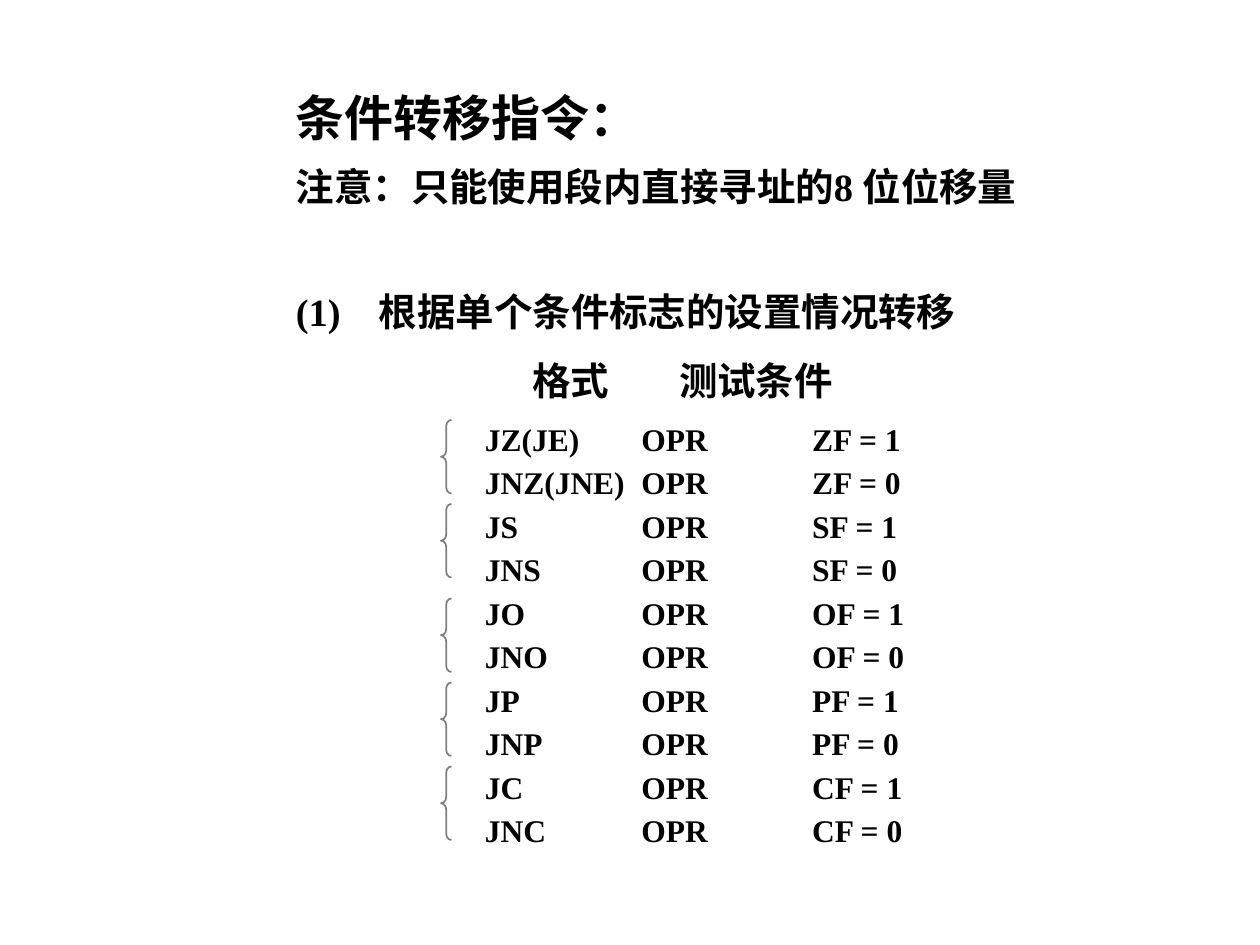
"""Build a slide that lists the conditional jumps on single flags."""
from dataclasses import dataclass

from lxml.etree import SubElement
from pptx import Presentation
from pptx.dml.color import RGBColor
from pptx.enum.shapes import MSO_SHAPE
from pptx.enum.text import MSO_ANCHOR, PP_ALIGN
from pptx.oxml.ns import qn
from pptx.util import Pt

BLACK = RGBColor(0x00, 0x00, 0x00)
GREY = RGBColor(0x80, 0x80, 0x80)
SERIF = "Times New Roman"
SANS = "Noto Sans CJK SC"
ROW_TABS = (108, 197.5, 295)
FLAGS = "ZSOPC"
BRACES = (240, 288, 342, 390, 438)


@dataclass(frozen=True)
class Line:
    """One line of text with its size, pitch and tab stops."""

    words: tuple[str, ...]
    size: float
    pitch: float
    tabs: tuple[float, ...] = ()
    before: float = 0
    align: PP_ALIGN = PP_ALIGN.LEFT


HEADS = [
    Line(("条件转移指令：",), 28, 50, align=PP_ALIGN.JUSTIFY),
    Line(("注意：只能使用段内直接寻址的", "8 ", "位位移量"), 22, 36,
         align=PP_ALIGN.JUSTIFY),
    Line(("(1)\t根据单个条件标志的设置情况转移",), 22, 39.5, (47.5,), 31.5),
    Line(("\t格式\t测试条件",), 22, 39.5, (135, 219)),
]


def get_rows() -> list[Line]:
    """Return a set and a clear jump for each flag."""
    alias = {"JZ": "JZ(JE)", "JNZ": "JNZ(JNE)"}
    rows = []
    for flag in FLAGS:
        for jump, value in ((f"J{flag}", 1), (f"JN{flag}", 0)):
            name = alias.get(jump, jump)
            pitch = 24.86 if rows else 31.3
            text = f"\t{name}\tOPR\t{flag}F = {value}"
            rows.append(Line((text,), 18, pitch, ROW_TABS))
    return rows


def add_line(para, line: Line) -> None:
    """Write one line into a paragraph."""
    para.alignment = line.align
    para.line_spacing = Pt(line.pitch)
    para.space_before = Pt(line.before)
    if line.tabs:
        stops = SubElement(para._p.get_or_add_pPr(), qn("a:tabLst"))
        for stop in line.tabs:
            SubElement(stops, qn("a:tab"), pos=str(int(Pt(stop))), algn="l")
    for word in line.words:
        run = para.add_run()
        run.text = word
        font = run.font
        font.name = SERIF
        font.size = Pt(line.size)
        font.bold = True
        font.color.rgb = BLACK
        SubElement(run._r.get_or_add_rPr(), qn("a:ea"), typeface=SANS)


def add_text(slide, lines: list[Line]) -> None:
    """Add the text box that holds all lines."""
    box = slide.shapes.add_textbox(Pt(162), Pt(30.24), Pt(438), Pt(458.64))
    frame = box.text_frame
    frame.word_wrap = True
    frame.vertical_anchor = MSO_ANCHOR.TOP
    for index, line in enumerate(lines):
        para = frame.add_paragraph() if index else frame.paragraphs[0]
        add_line(para, line)


def add_brace(slide, top: float) -> None:
    """Add a brace that joins two rows."""
    brace = slide.shapes.add_shape(
        MSO_SHAPE.LEFT_BRACE, Pt(252), Pt(top), Pt(6), Pt(42))
    brace.adjustments[0] = 0.58
    brace.adjustments[1] = 0.5
    brace.shadow.inherit = False
    brace.fill.background()
    brace.line.color.rgb = GREY
    brace.line.width = Pt(1)


def main() -> None:
    """Build and save the slide."""
    deck = Presentation()
    deck.slide_width, deck.slide_height = Pt(720), Pt(540)
    slide = deck.slides.add_slide(deck.slide_layouts[6])
    add_text(slide, HEADS + get_rows())
    for top in BRACES:
        add_brace(slide, top)
    deck.save("out.pptx")


if __name__ == "__main__":
    main()
